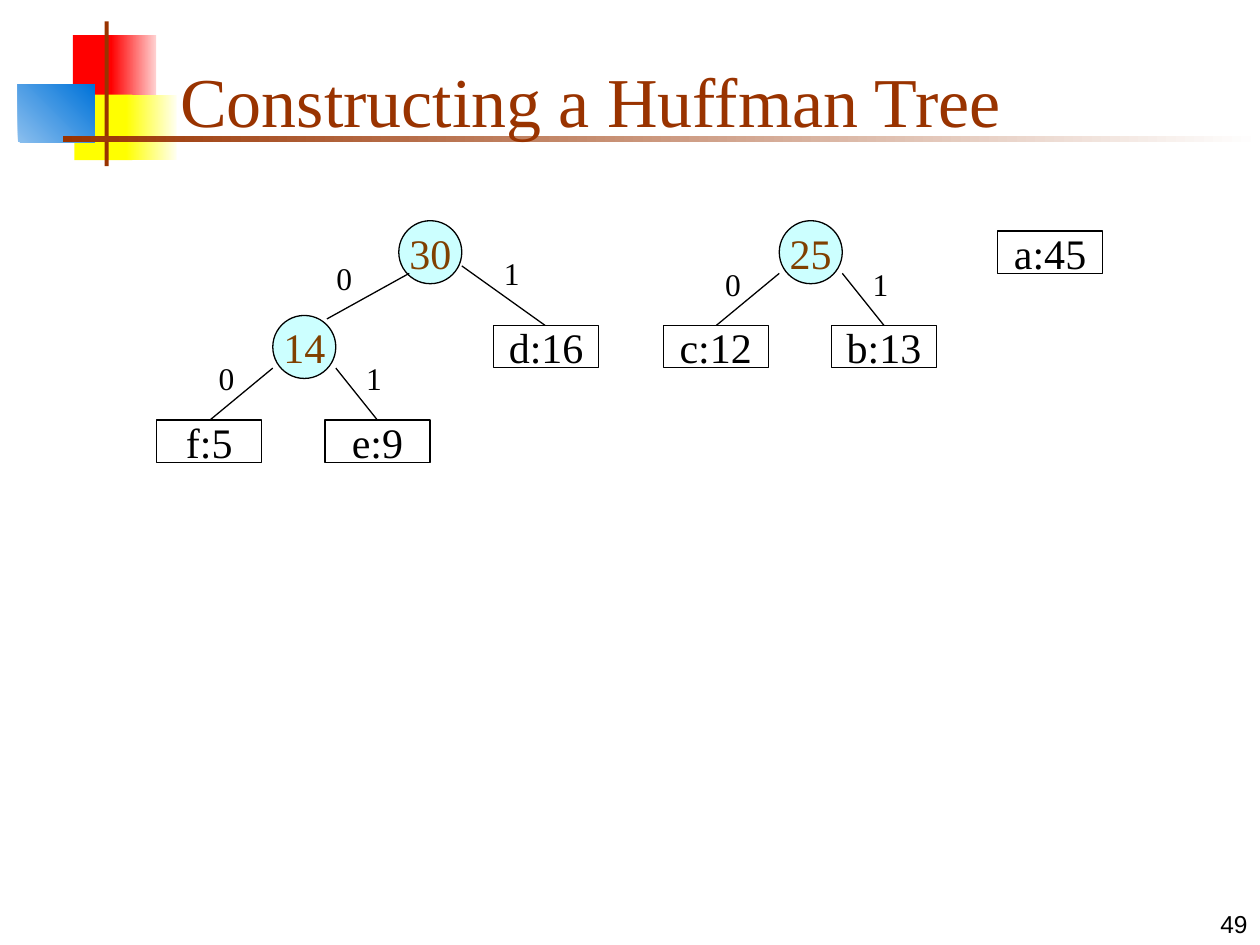
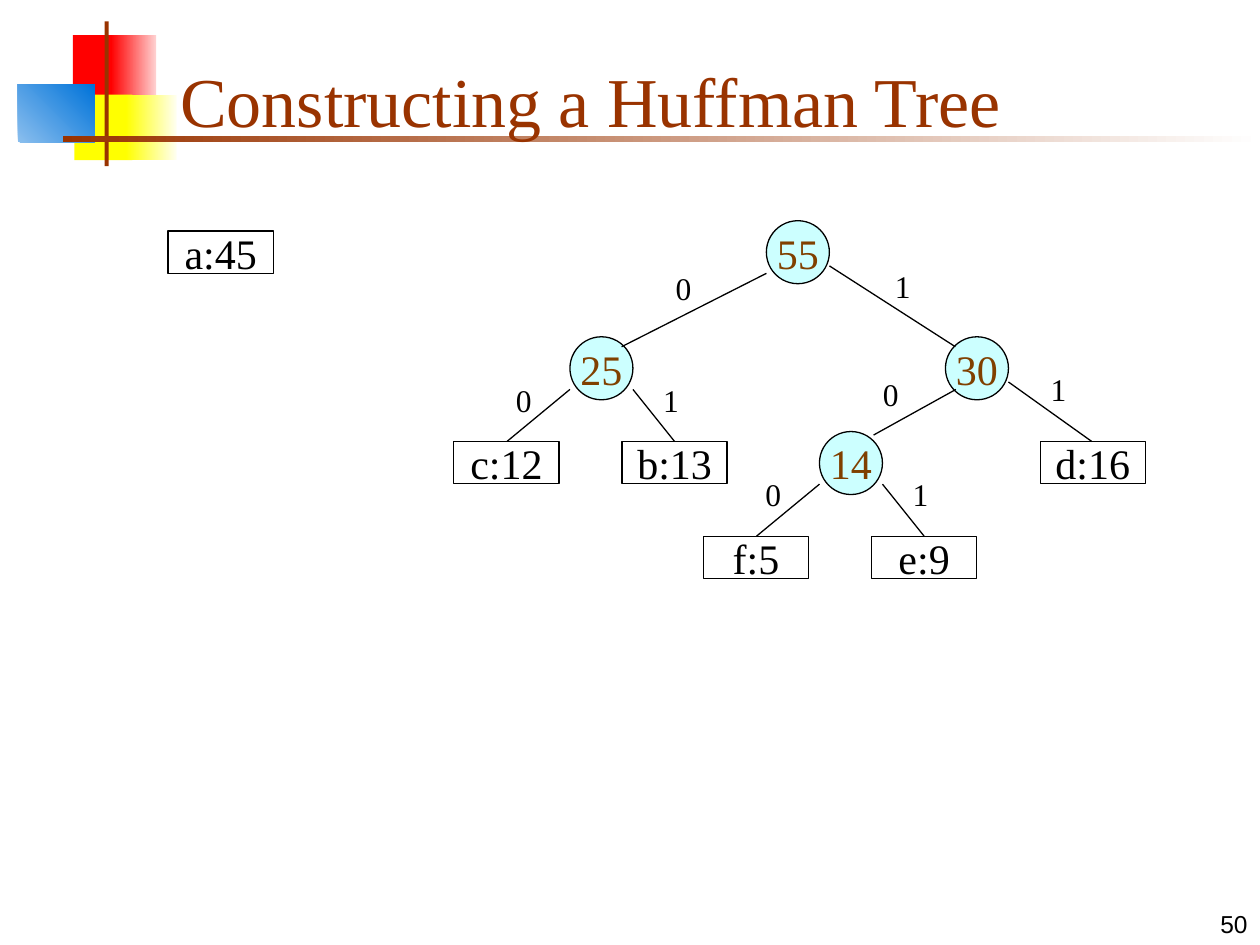
"""Two steps in the construction of a Huffman tree."""
from lxml import etree
from pptx import Presentation
from pptx.dml.color import RGBColor
from pptx.enum.shapes import MSO_CONNECTOR, MSO_SHAPE
from pptx.enum.text import MSO_ANCHOR, MSO_AUTO_SIZE, PP_ALIGN
from pptx.oxml.ns import qn
from pptx.util import Cm, Pt

RECTANGLE, OVAL = MSO_SHAPE.RECTANGLE, MSO_SHAPE.OVAL
STRAIGHT = MSO_CONNECTOR.STRAIGHT
LEFT, CENTER, RIGHT = PP_ALIGN.LEFT, PP_ALIGN.CENTER, PP_ALIGN.RIGHT
MIDDLE, BOTTOM = MSO_ANCHOR.MIDDLE, MSO_ANCHOR.BOTTOM
NO_FIT, GROW = MSO_AUTO_SIZE.NONE, MSO_AUTO_SIZE.SHAPE_TO_FIT_TEXT

HEX = {
    "ink": "000000", "rust": "993300", "white": "FFFFFF",
    "node": "CCFFFF", "weight": "804000",
    "red": "FF0000", "pink": "FFD1D1",
    "yellow": "FFFF00", "cream": "FFFFF0",
    "sky": "8BBFEE", "blue": "0073D9",
}
COLOURS = {name: RGBColor.from_string(value) for name, value in HEX.items()}
SERIF, SANS = "Times New Roman", "Arial"

# Left, top, width, height, colours from start to end, gradient angle
BANDS = [
    (1.47, 0.71, 0.89, 1.32, ["red"], 0),
    (2.24, 0.71, 0.91, 1.32, ["red", "pink"], 0),
    (1.5, 1.91, 1.17, 1.32, ["yellow"], 0),
    (2.54, 1.91, 1.02, 1.32, ["yellow", "cream"], 0),
    (0.36, 1.7, 1.55, 1.17, ["sky", "blue"], 45),
    (2.11, 0.43, 0.08, 2.92, ["rust"], 0),
    (1.27, 2.74, 24.13, 0.13, ["rust", "white"], 0),
]

NODE_SIZE = 1.27
LEAF_WIDTH, LEAF_HEIGHT = 2.12, 0.85

# Per branch, relative to the parent: child, edge start, edge end, bit label
LEAF_PAIR = [
    ((-2.34, 2.11), (-1.27, 2.11), (0, 1.06), (-1.34, 0.76)),
    ((1.05, 2.11), (2.11, 2.11), (1.27, 1.06), (1.63, 0.76)),
]
TREES = {
    "14": (["f:5", "e:9"], LEAF_PAIR),
    "25": (["c:12", "b:13"], LEAF_PAIR),
    "30": (["14", "d:16"], [
        ((-2.54, 1.91), (-1.45, 1.98), (0.21, 1.06), (-1.51, 0.64)),
        ((1.91, 2.11), (2.95, 2.11), (1.27, 0.91), (1.87, 0.55)),
    ]),
    "55": (["25", "30"], [
        ((-3.96, 2.34), (-2.92, 2.54), (0, 1.06), (-2.08, 0.84)),
        ((3.61, 2.34), (3.81, 2.54), (1.27, 0.91), (2.34, 0.81)),
    ]),
}
STEPS = {
    49: [("30", 8.04, 4.45), ("25", 15.71, 4.45), ("a:45", 20.11, 4.66)],
    50: [("a:45", 3.39, 4.66), ("55", 15.45, 4.45)],
}


def write(shape, text, size, colour="ink", align=LEFT, font=SERIF):
    shape.text_frame.text = text
    paragraph = shape.text_frame.paragraphs[0]
    paragraph.alignment = align
    paragraph.font.name = font
    paragraph.font.size = Pt(size)
    paragraph.font.bold = False
    paragraph.font.color.rgb = COLOURS[colour]


def draw_tree(shapes, name, x, y):
    inner = name in TREES
    width, height = (NODE_SIZE, NODE_SIZE) if inner else (LEAF_WIDTH, LEAF_HEIGHT)
    vertex = shapes.add_shape(OVAL if inner else RECTANGLE,
                              Cm(x), Cm(y), Cm(width), Cm(height))
    vertex.shadow.inherit = False
    vertex.line.color.rgb = COLOURS["ink"]
    vertex.line.width = Pt(0.75)
    if inner:
        vertex.fill.solid()
        vertex.fill.fore_color.rgb = COLOURS["node"]
    else:
        vertex.fill.background()
    vertex.text_frame.word_wrap = False
    vertex.text_frame.vertical_anchor = MIDDLE
    write(vertex, name, 24, "weight" if inner else "ink", CENTER)
    if not inner:
        return

    children, branches = TREES[name]
    for bit, (child, branch) in enumerate(zip(children, branches)):
        place, start, end, label = [(x + dx, y + dy) for dx, dy in branch]
        draw_tree(shapes, child, *place)
        edge = shapes.add_connector(STRAIGHT, *[Cm(v) for v in start + end])
        edge.line.color.rgb = COLOURS["ink"]
        edge.line.width = Pt(0.75)
        etree.SubElement(edge.element.spPr, qn("a:effectLst"))
        bit_label = shapes.add_textbox(Cm(label[0]), Cm(label[1]), Cm(0.86), Cm(1.02))
        bit_label.text_frame.word_wrap = False
        bit_label.text_frame.auto_size = GROW
        write(bit_label, str(bit), 18)


prs = Presentation()
prs.slide_width, prs.slide_height = Cm(25.4), Cm(19.05)
layout = prs.slide_layouts[5]
slides = [prs.slides.add_slide(layout) for _ in STEPS]

for position, (left, top, width, height, hues, angle) in enumerate(BANDS):
    band = slides[0].shapes.add_shape(RECTANGLE, Cm(left), Cm(top), Cm(width), Cm(height))
    band.shadow.inherit = False
    band.line.fill.background()
    if len(hues) == 1:
        band.fill.solid()
        band.fill.fore_color.rgb = COLOURS[hues[0]]
    else:
        band.fill.gradient()
        band.fill.gradient_angle = angle
        for stop, hue in zip(band.fill.gradient_stops, hues):
            stop.color.rgb = COLOURS[hue]
    layout.shapes.element.insert(2 + position, band.element)

for slide, (number, roots) in zip(slides, STEPS.items()):
    title = slide.shapes.title
    title.left, title.top, title.width, title.height = Cm(3.38), Cm(0.64), Cm(21.64), Cm(2.34)
    title.text_frame.vertical_anchor = BOTTOM
    title.text_frame.auto_size = NO_FIT
    write(title, "Constructing a Huffman Tree", 40, "rust")

    page_number = slide.shapes.add_textbox(Cm(20.12), Cm(17.78), Cm(5.28), Cm(1.27))
    page_number.text_frame.word_wrap = True
    page_number.text_frame.vertical_anchor = BOTTOM
    write(page_number, str(number), 14, align=RIGHT, font=SANS)

    for root in roots:
        draw_tree(slide.shapes, *root)

prs.save("out.pptx")
